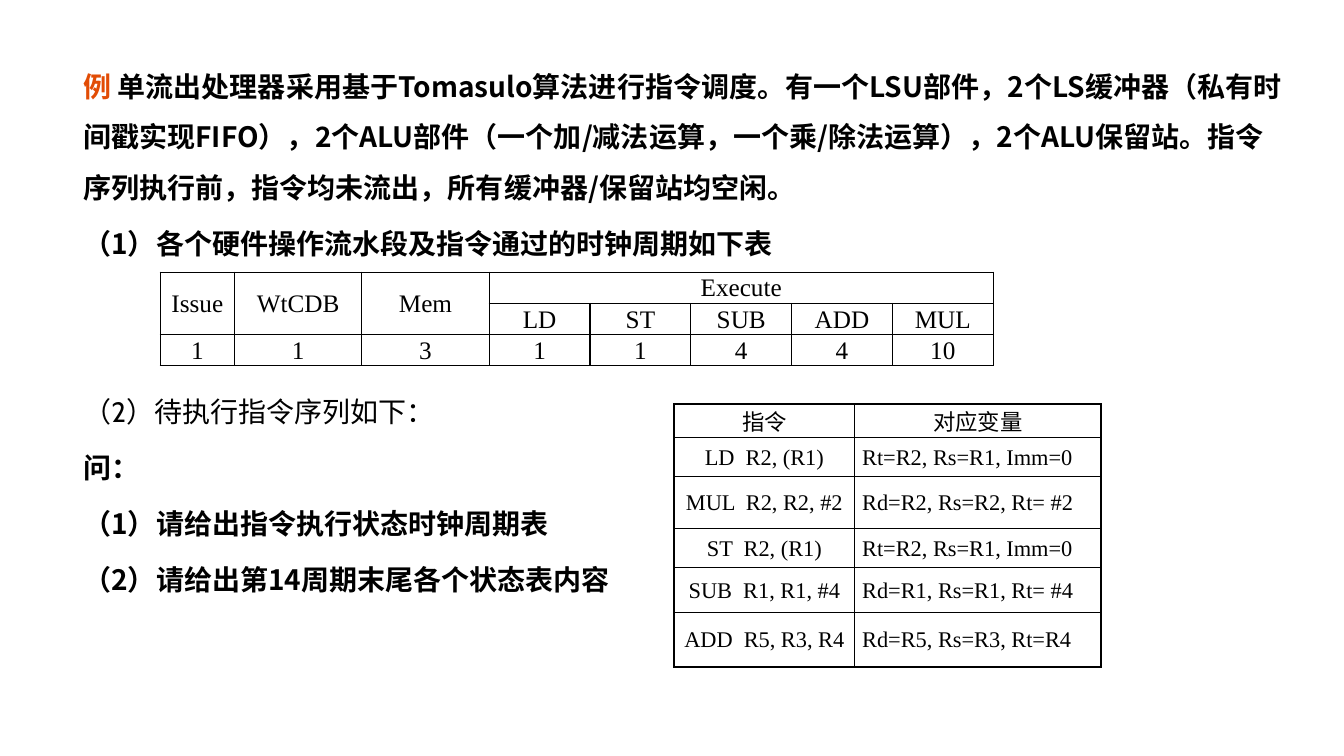
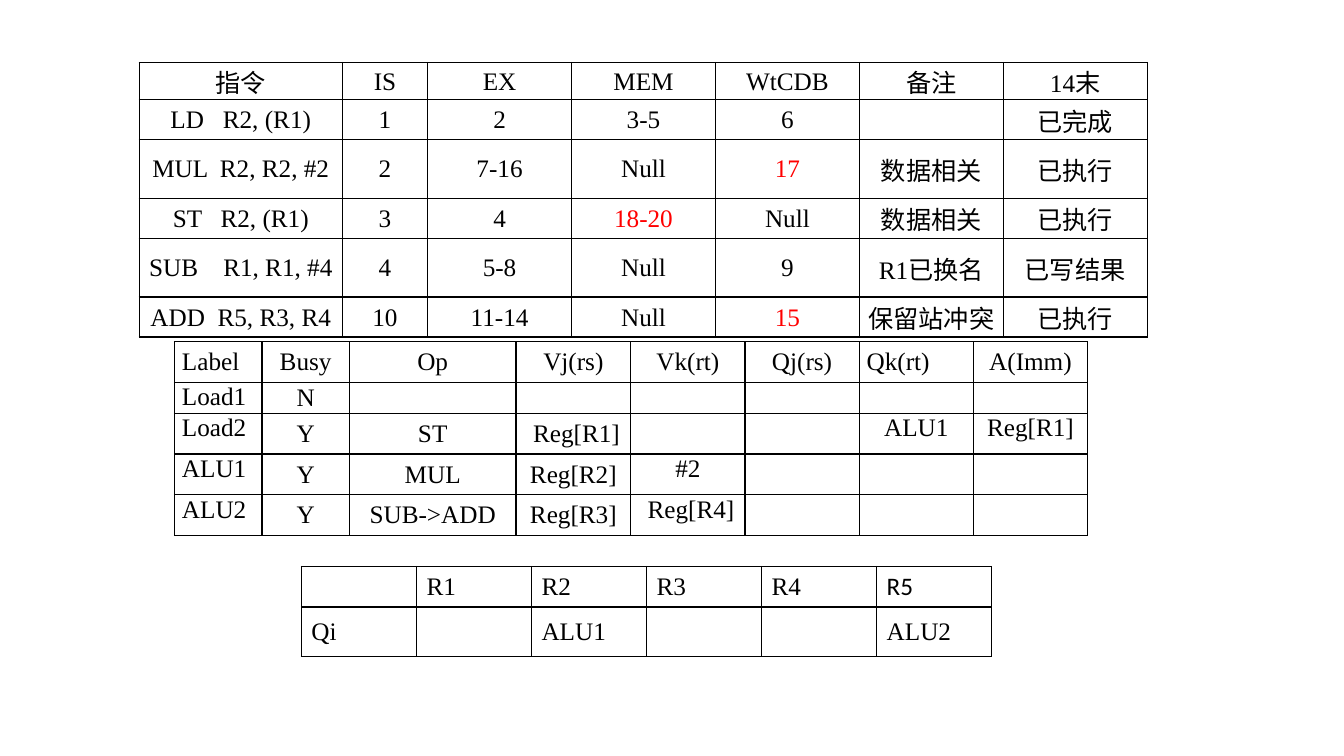
import lxml.etree
import pptx
import pptx.dml.color
import pptx.enum.text
import pptx.oxml.ns
import pptx.util

Pt = pptx.util.Pt
RGB = pptx.dml.color.RGBColor
Align = pptx.enum.text.PP_ALIGN
Anchor = pptx.enum.text.MSO_ANCHOR
qn = pptx.oxml.ns.qn


class Theme:
    ink = RGB(0, 0, 0)
    mark = RGB(0xE2, 0x4C, 0x05)
    alert = RGB(0xFF, 0, 0)
    sans = "Noto Sans CJK SC"
    light = "Cabin"
    serif = "Times New Roman"
    plain = "Calibri"
    body = 20
    cell = 18
    small = 16
    rule = 1


def style(para, face, size, bold=False):
    """Set the font of a whole paragraph, with one face for Chinese text."""
    font = para.font
    font.name, font.size, font.bold = face, Pt(size), bold
    font.color.rgb = Theme.ink
    props = para._p.pPr.find(qn("a:defRPr"))
    lxml.etree.SubElement(props, qn("a:ea"), typeface=Theme.sans)


def grid(slide, left, top, cols, rows, lines, size=Theme.cell, pad=5.4):
    """Add a ruled table; each line holds one row, with cells split by |."""
    frame = slide.shapes.add_table(len(rows), len(cols), Pt(left), Pt(top),
                                   Pt(sum(cols)), Pt(sum(rows)))
    table = frame.table
    table.first_row = table.horz_banding = False
    for col, width in zip(table.columns, cols):
        col.width = Pt(width)
    for row, height, line in zip(table.rows, rows, lines):
        row.height = Pt(height)
        for cell, text in zip(row.cells, line.split("|")):
            cell.margin_left = cell.margin_right = Pt(pad)
            cell.margin_top, cell.margin_bottom = Pt(0.7), Pt(0)
            cell.vertical_anchor = Anchor.MIDDLE
            props = cell._tc.get_or_add_tcPr()
            for side in ("lnL", "lnR", "lnT", "lnB"):
                edge = lxml.etree.SubElement(props, qn("a:" + side),
                                             w=str(Pt(Theme.rule)))
                fill = lxml.etree.SubElement(edge, qn("a:solidFill"))
                lxml.etree.SubElement(fill, qn("a:srgbClr"),
                                      val=str(Theme.ink))
            cell.fill.background()
            para = cell.text_frame.paragraphs[0]
            para.alignment = Align.CENTER
            style(para, Theme.serif, size)
            if text:
                para.add_run().text = text
    return table


deck = pptx.Presentation()
deck.slide_width, deck.slide_height = Pt(960), Pt(540)
blank = deck.slide_layouts[6]

# Slide 1: the exercise
slide = deck.slides.add_slide(blank)
box = slide.shapes.add_textbox(Pt(52.5), Pt(34), Pt(875.5), Pt(460))
frame = box.text_frame
frame.word_wrap = True
# Each entry: text, face, bold, space before
tasks = [
    ("单流出处理器采用基于Tomasulo算法进行指令调度。有一个LSU部件，2个LS缓冲器"
     "（私有时间戳实现FIFO），2个ALU部件（一个加/减法运算，一个乘/除法运算），"
     "2个ALU保留站。指令序列执行前，指令均未流出，所有缓冲器/保留站均空闲。",
     Theme.sans, True, 0),
    ("（1）各个硬件操作流水段及指令通过的时钟周期如下表", Theme.sans, True, 4),
    ("（2）待执行指令序列如下：", Theme.light, False, 84),
    ("问：", Theme.sans, True, 4),
    ("（1）请给出指令执行状态时钟周期表", Theme.sans, True, 4),
    ("（2）请给出第14周期末尾各个状态表内容", Theme.sans, True, 4),
]
for n, (text, face, bold, gap) in enumerate(tasks):
    para = frame.add_paragraph() if n else frame.paragraphs[0]
    para.line_spacing = Pt(36)
    para.space_before = Pt(gap)
    style(para, face, Theme.body, bold)
    if n == 0:
        lead = para.add_run()
        lead.text = "例 "
        lead.font.color.rgb = Theme.mark
    para.add_run().text = text

stages = grid(slide, 114.5, 194.4, [53, 91, 91] + [72] * 5, [22.3] * 3, [
    "Issue|WtCDB|Mem|Execute||||",
    "|||LD|ST|SUB|ADD|MUL",
    "1|1|3|1|1|4|4|10",
])
for c in range(3):
    stages.cell(0, c).merge(stages.cell(1, c))
stages.cell(0, 3).merge(stages.cell(0, 7))

codes = grid(slide, 481.5, 288.5, [129, 176], [24, 28, 37, 28, 32, 39], [
    "指令|对应变量",
    "LD  R2, (R1)|Rt=R2, Rs=R1, Imm=0",
    "MUL  R2, R2, #2|Rd=R2, Rs=R2, Rt= #2",
    "ST  R2, (R1)|Rt=R2, Rs=R1, Imm=0",
    "SUB  R1, R1, #4|Rd=R1, Rs=R1, Rt= #4",
    "ADD  R5, R3, R4|Rd=R5, Rs=R3, Rt=R4",
], Theme.small)
for r in range(1, 6):
    codes.cell(r, 1).text_frame.paragraphs[0].alignment = Align.JUSTIFY

# Slide 2: the answer
slide = deck.slides.add_slide(blank)
times = grid(slide, 99.5, 44.6, [145, 61] + [102.8] * 5,
             [26.5, 28.6, 42, 28.6, 42, 28.6], [
    "指令|IS|EX|MEM|WtCDB|备注|14末",
    "LD   R2, (R1)|1|2|3-5|6||已完成",
    "MUL  R2, R2, #2|2|7-16|Null|17|数据相关|已执行",
    "ST   R2, (R1)|3|4|18-20|Null|数据相关|已执行",
    "SUB    R1, R1, #4|4|5-8|Null|9|R1已换名|已写结果",
    "ADD  R5, R3, R4|10|11-14|Null|15|保留站冲突|已执行",
])
for r, c in ((2, 4), (3, 3), (5, 4)):
    times.cell(r, c).text_frame.paragraphs[0].font.color.rgb = Theme.alert

slots = grid(slide, 124.6, 244, [62.5, 62.5, 119, 82] + [81.6] * 4,
             [29, 22.3, 29, 29, 29], [
    "Label|Busy|Op|Vj(rs)|Vk(rt)|Qj(rs)|Qk(rt)|A(Imm)",
    "Load1|N||||||",
    "Load2|Y|ST| Reg[R1]|||ALU1|Reg[R1]",
    "ALU1|Y|MUL|Reg[R2]|#2|||",
    "ALU2|Y|SUB->ADD|Reg[R3]| Reg[R4]|||",
])
for r in range(5):
    slots.cell(r, 0).text_frame.paragraphs[0].alignment = Align.JUSTIFY
    if r:
        for c in (0, 4, 5, 6, 7):
            slots.cell(r, c).vertical_anchor = Anchor.TOP
slots.cell(0, 6).text_frame.paragraphs[0].alignment = Align.JUSTIFY

regs = grid(slide, 215.3, 404.6, [82.2] * 6, [29, 35.5], [
    "|R1|R2|R3|R4|R5",
    "Qi||ALU1|||ALU2",
], pad=7.2)
for cell in regs.iter_cells():
    cell.text_frame.paragraphs[0].alignment = Align.JUSTIFY
regs.cell(0, 5).text_frame.paragraphs[0].font.name = Theme.plain

deck.save("out.pptx")
